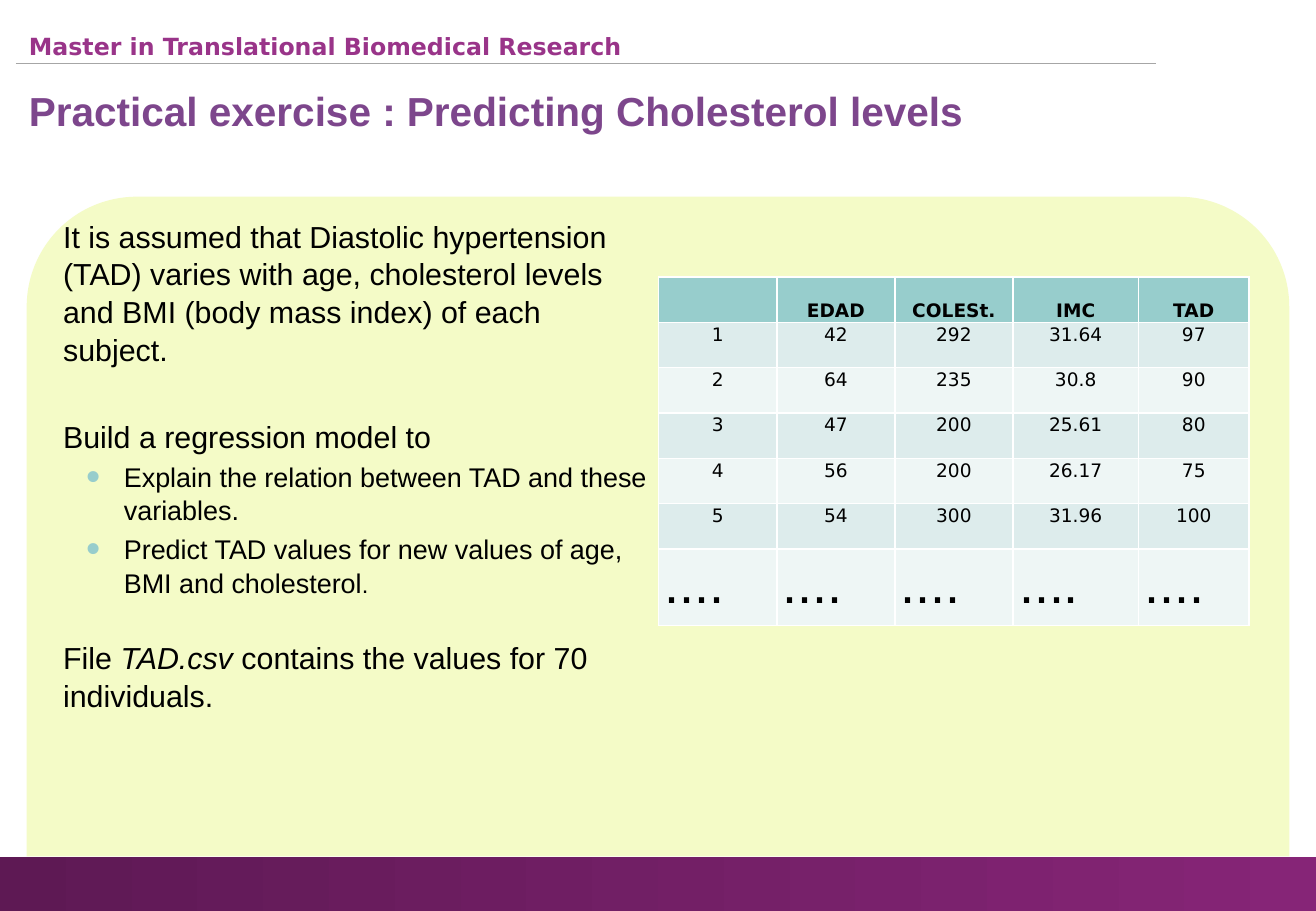
from lxml import etree
from pptx import Presentation
from pptx.dml.color import RGBColor
from pptx.enum.shapes import MSO_CONNECTOR, MSO_SHAPE
from pptx.enum.text import MSO_ANCHOR, PP_ALIGN
from pptx.oxml.ns import qn
from pptx.util import Inches, Pt

RECTANGLE = MSO_SHAPE.RECTANGLE
ROUND_TOP = MSO_SHAPE.ROUND_2_SAME_RECTANGLE
STRAIGHT = MSO_CONNECTOR.STRAIGHT
TOP, BOTTOM = MSO_ANCHOR.TOP, MSO_ANCHOR.BOTTOM
LEFT, CENTER = PP_ALIGN.LEFT, PP_ALIGN.CENTER

WIDTH, HEIGHT = Inches(10.83), Inches(7.5)
SANS, WIDE = "Arial", "DejaVu Sans"
BLACK, WHITE, TEAL = "000000", "FFFFFF", "97CDCC"
BANDS = ("DDECEC", "EEF6F5")

# Spans (text, size, italic), space before in points, bulleted or not
BODY = [
    ([("It is assumed that Diastolic hypertension (TAD) varies with age, "
       "cholesterol levels and BMI (body mass index) of each subject.", 18, False)], 3.6, False),
    ([("Build a regression model to", 18, False)], 28.8, False),
    ([("Explain the relation between TAD and these variables.", 16, False)], 2.9, True),
    ([("Predict TAD values for new values of age, BMI and cholesterol", 16, False),
      (".", 14, False)], 2.9, True),
    ([("File ", 18, False), ("TAD.csv ", 18, True),
      ("contains the values for 70 individuals.", 18, False)], 23.2, False),
]

PATIENTS = [
    ("", "EDAD", "COLESt.", "IMC", "TAD"),
    ("1", "42", "292", "31.64", "97"),
    ("2", "64", "235", "30.8", "90"),
    ("3", "47", "200", "25.61", "80"),
    ("4", "56", "200", "26.17", "75"),
    ("5", "54", "300", "31.96", "100"),
    ("....",) * 5,
]
COLUMN_SHARES = (0.97, 0.97, 0.97, 1.03, 0.91)


def color(value):
    return RGBColor.from_string(value)


def place(left, top, width, height):
    """Turn percentages of the slide into lengths."""
    return (int(WIDTH * left / 100), int(HEIGHT * top / 100),
            int(WIDTH * width / 100), int(HEIGHT * height / 100))


def set_font(font, name, size, ink, bold=False, italic=False):
    font.name, font.size = name, Pt(size)
    font.bold, font.italic = bold, italic
    font.color.rgb = color(ink)


def set_margins(area, left, top, right, bottom):
    area.margin_left, area.margin_top = Inches(left), Inches(top)
    area.margin_right, area.margin_bottom = Inches(right), Inches(bottom)


def add_panel(page, kind, area, *colors):
    """Filled shape; two colours make a gradient from left to right."""
    panel = page.shapes.add_shape(kind, *place(*area))
    panel.shadow.inherit = False
    panel.line.fill.background()
    if len(colors) == 1:
        panel.fill.solid()
        panel.fill.fore_color.rgb = color(colors[0])
        return
    panel.fill.gradient()
    panel.fill.gradient_angle = 0
    for stop, value in zip(panel.fill.gradient_stops, colors):
        stop.color.rgb = color(value)


def add_rule(page, left, right, top, ink):
    start, level, end, _ = place(left, top, right, 0)
    rule = page.shapes.add_connector(STRAIGHT, start, level, end, level)
    rule.line.color.rgb = color(ink)
    rule.line.width = Pt(0.75)
    etree.SubElement(rule.element.spPr, qn("a:effectLst"))


def add_heading(page, area, text, font_name, size, ink):
    box = page.shapes.add_textbox(*place(*area))
    box.text_frame.word_wrap = True
    box.text_frame.text = text
    set_font(box.text_frame.paragraphs[0].runs[0].font, font_name, size, ink, bold=True)


def add_bullet(para):
    properties = para._p.get_or_add_pPr()
    properties.set("marL", str(Inches(0.5)))
    properties.set("indent", str(Inches(-0.31)))
    bullet_color = etree.SubElement(properties, qn("a:buClr"))
    etree.SubElement(bullet_color, qn("a:srgbClr"), val=TEAL)
    etree.SubElement(properties, qn("a:buSzPct"), val="150000")
    etree.SubElement(properties, qn("a:buFont"), typeface=SANS)
    etree.SubElement(properties, qn("a:buChar"), char="•")


def add_body(page, area):
    box = page.shapes.add_textbox(*place(*area))
    frame = box.text_frame
    frame.word_wrap = True
    set_margins(frame, 0, 0, 0, 0)
    for index, (spans, space, bulleted) in enumerate(BODY):
        para = frame.add_paragraph() if index else frame.paragraphs[0]
        para.space_before = Pt(space)
        para.line_spacing = 1.04
        if bulleted:
            para.level = 1
            add_bullet(para)
        for text, size, italic in spans:
            span = para.add_run()
            span.text = text
            set_font(span.font, SANS, size, BLACK, italic=italic)


def add_borders(cell):
    properties = cell._tc.get_or_add_tcPr()
    for index, side in enumerate(("lnL", "lnR", "lnT", "lnB")):
        border = etree.Element(qn("a:" + side), w=str(Pt(0.96)))
        fill = etree.SubElement(border, qn("a:solidFill"))
        etree.SubElement(fill, qn("a:srgbClr"), val=WHITE)
        properties.insert(index, border)


def fill_cell(cell, text, row):
    header, dots = row == 0, row == len(PATIENTS) - 1
    cell.fill.solid()
    cell.fill.fore_color.rgb = color(TEAL if header else BANDS[(row - 1) % 2])
    add_borders(cell)
    cell.vertical_anchor = BOTTOM if header else TOP
    set_margins(cell, *((0.05, 0.08, 0.05, 0.05) if dots else (0.01, 0.01, 0.01, 0)))
    cell.text = text
    para = cell.text_frame.paragraphs[0]
    para.alignment = LEFT if dots else CENTER
    para.line_spacing = 0.93 if dots else 1.02
    font = para.runs[0].font if text else para.font
    set_font(font, SANS if dots else WIDE, 32 if dots else 11, BLACK, bold=header)


def add_patient_table(page, area):
    left, top, width, height = place(*area)
    frame = page.shapes.add_table(len(PATIENTS), len(COLUMN_SHARES), left, top, width, height)
    table = frame.table
    for column, share in zip(table.columns, COLUMN_SHARES):
        column.width = int(width * share / sum(COLUMN_SHARES))
    last_height = Inches(0.63)
    for row in table.rows:
        row.height = (height - last_height) // (len(PATIENTS) - 1)
    table.rows[len(PATIENTS) - 1].height = last_height
    for row, values in enumerate(PATIENTS):
        for column, text in enumerate(values):
            fill_cell(table.cell(row, column), text, row)


def main():
    deck = Presentation()
    deck.slide_width, deck.slide_height = WIDTH, HEIGHT
    page = deck.slides.add_slide(deck.slide_layouts[6])

    # Footer band and course header
    add_panel(page, RECTANGLE, (0, 94.13, 100, 5.87), "5E1954", "862577")
    add_rule(page, 1.2, 87.81, 6.93, "A6A6A6")
    add_heading(page, (1.29, 2.8, 64.73, 4.4),
                "Master in Translational Biomedical Research", WIDE, 14, "993489")

    # Exercise: panel, title, text and data
    add_panel(page, ROUND_TOP, (2.03, 21.6, 95.94, 72.4), "F4FBC7")
    add_heading(page, (1.29, 8.8, 87.26, 6.67),
                "Practical exercise : Predicting Cholesterol levels", SANS, 24, "7D468C")
    add_body(page, (4.8, 23.73, 44.88, 51.47))
    add_patient_table(page, (50.05, 30.4, 44.88, 38.27))

    deck.save("out.pptx")


if __name__ == "__main__":
    main()
